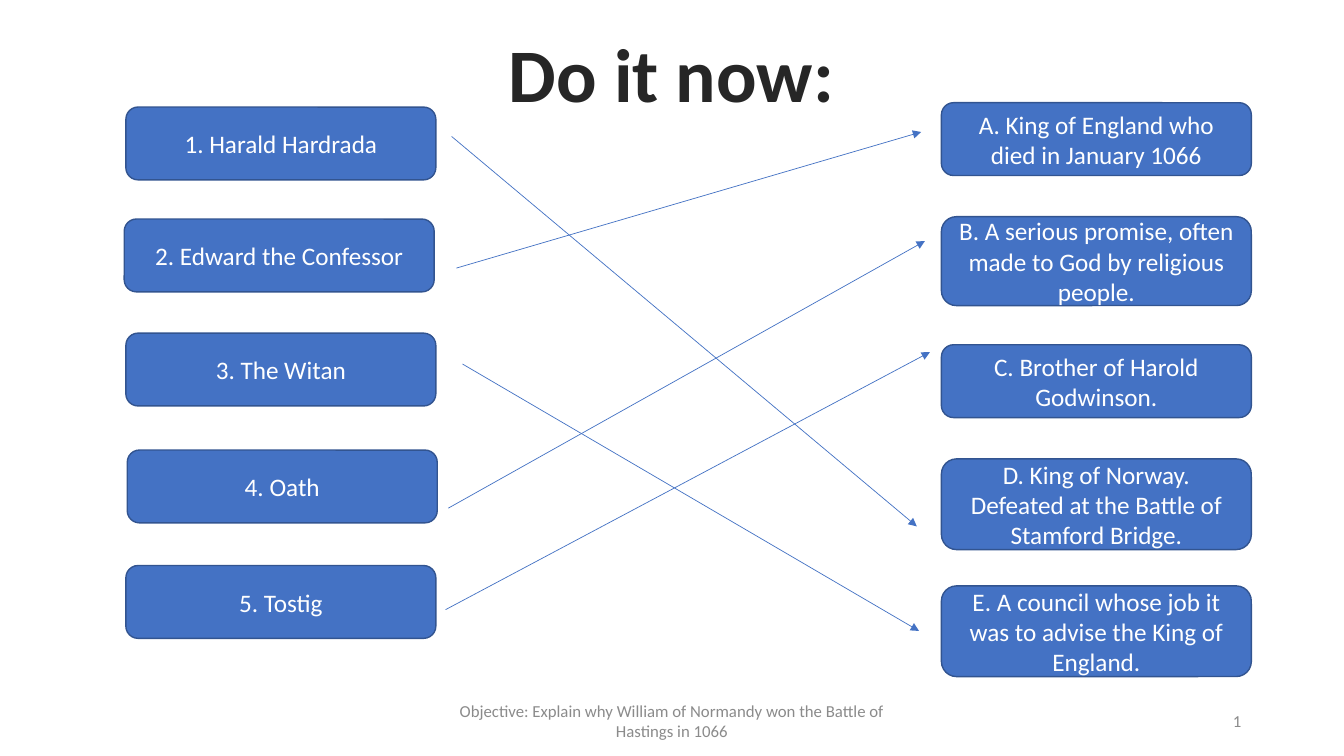
from pptx import Presentation
from pptx.dml.color import RGBColor
from pptx.enum.shapes import MSO_CONNECTOR as Connector, MSO_SHAPE as Preset
from pptx.enum.text import MSO_ANCHOR as Anchor, PP_ALIGN as Align
from pptx.oxml.ns import qn
from pptx.util import Pt
from lxml.etree import SubElement

TITLE = "Do it now:"
OBJECTIVE = "Objective: Explain why William of Normandy won the Battle of Hastings in 1066"
PAGE_NUMBER = "1"
TERMS = [
    ("1. Harald Hardrada", 90, 76.5),
    ("2. Edward the Confessor", 88.8, 156.5),
    ("3. The Witan", 90, 238),
    ("4. Oath", 91, 321.5),
    ("5. Tostig", 90, 404),
]
MEANINGS = [
    ("A. King of England who died in January 1066", 73.4, 52),
    ("B. A serious promise, often made to God by religious people.", 154.8, 63.5),
    ("C. Brother of Harold Godwinson.", 246.3, 52),
    ("D. King of Norway. Defeated at the Battle of Stamford Bridge.", 327.8, 64.8),
    ("E. A council whose job it was to advise the King of England.", 418.5, 64.8),
]
ARROWS = [
    ((322.8, 97.5), (655.2, 376)),
    ((326.2, 191.5), (658.3, 94.3)),
    ((330.5, 260), (656.8, 450.7)),
    ((320.4, 363), (661, 172.2)),
    ((318.4, 435.5), (664.6, 251.5)),
]
CARD_WIDTH, TERM_HEIGHT, MEANING_LEFT = 221.5, 52, 672.8
FOOTER_TOP, FOOTER_HEIGHT = 500.4, 28.8
BLUE, OUTLINE, WHITE, DARK, GREY = "4472C4", "325490", "FFFFFF", "262626", "8B8B8B"


def color(value):
    return RGBColor.from_string(value)


def write(shape, text, size, shade, align=Align.CENTER, anchor=Anchor.MIDDLE, bold=False, wrap=True):
    frame = shape.text_frame
    frame.word_wrap = wrap
    frame.vertical_anchor = anchor
    para = frame.paragraphs[0]
    para.alignment = align
    span = para.add_run()
    span.text = text
    span.font.name = "Calibri"
    span.font.size = Pt(size)
    span.font.bold = bold
    span.font.color.rgb = color(shade)


def add_card(page, text, left, top, height):
    card = page.shapes.add_shape(Preset.ROUNDED_RECTANGLE, Pt(left), Pt(top), Pt(CARD_WIDTH), Pt(height))
    card.shadow.inherit = False
    card.fill.solid()
    card.fill.fore_color.rgb = color(BLUE)
    card.line.color.rgb = color(OUTLINE)
    card.line.width = Pt(1)
    write(card, text, 18, WHITE)


def add_arrow(page, start, end):
    arrow = page.shapes.add_connector(Connector.STRAIGHT, *map(Pt, start + end))
    arrow.line.color.rgb = color(BLUE)
    arrow.line.width = Pt(0.5)
    SubElement(arrow.line._get_or_add_ln(), qn("a:tailEnd"), type="triangle")
    SubElement(arrow._element.spPr, qn("a:effectLst"))


def add_footer(page, text, left, width, align):
    box = page.shapes.add_textbox(Pt(left), Pt(FOOTER_TOP), Pt(width), Pt(FOOTER_HEIGHT))
    write(box, text, 12, GREY, align)


def main():
    deck = Presentation()
    deck.slide_width, deck.slide_height = Pt(960.48), Pt(540)
    page = deck.slides.add_slide(deck.slide_layouts.get_by_name("Title Only"))

    title = page.shapes.title
    title.left, title.top, title.width, title.height = map(Pt, (356.4, 15.8, 247, 72))
    write(title, TITLE, 54, DARK, anchor=Anchor.TOP, bold=True, wrap=False)

    add_footer(page, OBJECTIVE, 318.2, 324, Align.CENTER)
    add_footer(page, PAGE_NUMBER, 678.2, 216, Align.RIGHT)
    for text, left, top in TERMS:
        add_card(page, text, left, top, TERM_HEIGHT)
    for text, top, height in MEANINGS:
        add_card(page, text, MEANING_LEFT, top, height)
    for start, end in ARROWS:
        add_arrow(page, start, end)

    deck.save("out.pptx")


if __name__ == "__main__":
    main()
